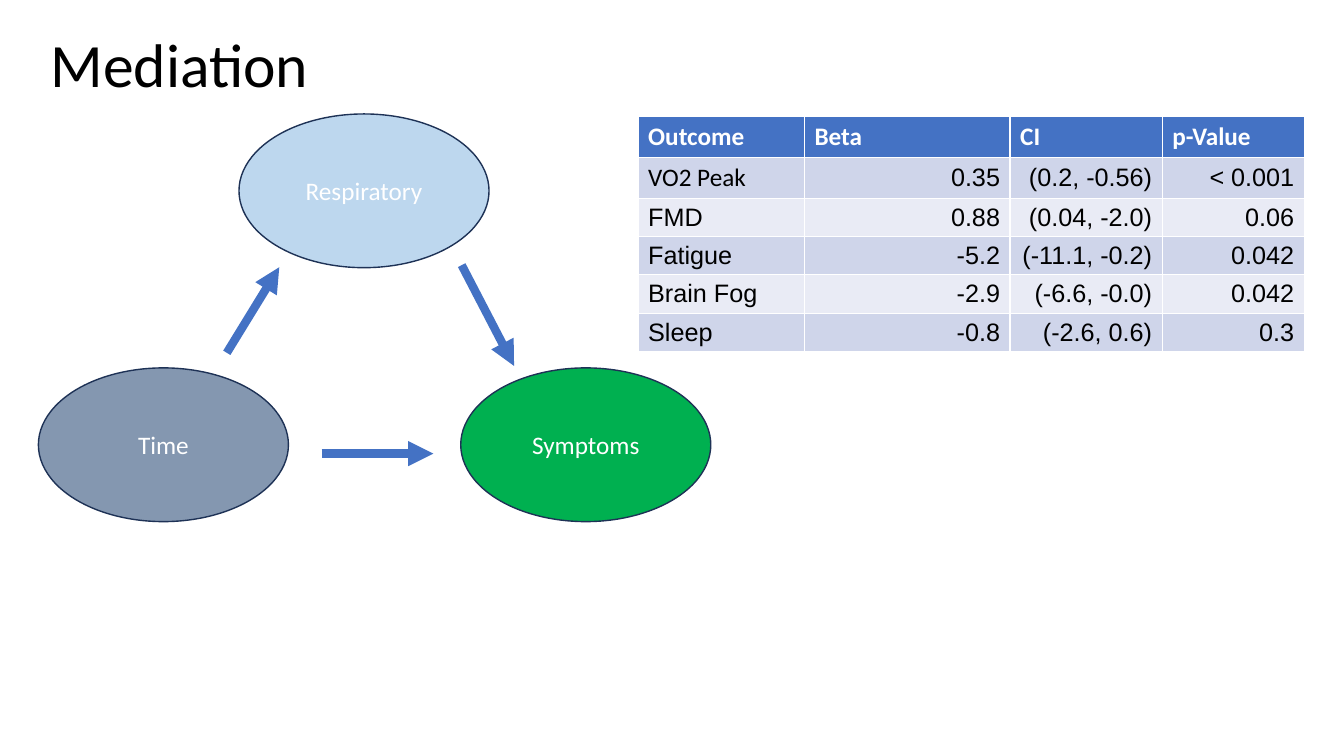
import pptx
import pptx.util
import pptx.dml.color
import pptx.enum.shapes
import pptx.enum.text
import pptx.oxml.ns
import lxml.etree

Pt = pptx.util.Pt
ALIGN = pptx.enum.text.PP_ALIGN
MIDDLE = pptx.enum.text.MSO_ANCHOR.MIDDLE
BLUE, WHITE, BLACK = "4472C4", "FFFFFF", "000000"
BANDS = ["CFD5EA", "E9EBF5"]

ROWS = [
    ["Outcome", "Beta", "CI", "p-Value"],
    ["VO2 Peak", "0.35", "(0.2, -0.56)", "< 0.001"],
    ["FMD", "0.88", "(0.04, -2.0)", "0.06"],
    ["Fatigue", "-5.2", "(-11.1, -0.2)", "0.042"],
    ["Brain Fog", "-2.9", "(-6.6, -0.0)", "0.042"],
    ["Sleep", "-0.8", "(-2.6, 0.6)", "0.3"],
]
WIDTHS = [118.8, 146.9, 108.7, 101.5]
OVALS = [
    ("Time", 0, 181.4, "8497B0"),
    ("Respiratory", 143.3, 0, "BDD7EE"),
    ("Symptoms", 301.7, 181.4, "00B050"),
]
ARROWS = [
    (134.6, 170.6, 172.1, 109.5),
    (202.3, 242.6, 282.2, 242.6),
    (302.4, 108, 339.8, 180),
]


def paint(item, shade):
    if hasattr(item, "solid"):
        item.solid()
        item = item.fore_color
    item.rgb = pptx.dml.color.RGBColor.from_string(shade)


def write(frame, words, size, shade, align, face="Calibri", bold=False):
    frame.text = words
    para = frame.paragraphs[0]
    para.alignment = align
    font = para.runs[0].font
    font.name, font.size, font.bold = face, Pt(size), bold
    paint(font.color, shade)
    return para


def add_title(slide, left, top, width, height):
    title = slide.shapes.title
    title.left, title.top = Pt(left), Pt(top)
    title.width, title.height = Pt(width), Pt(height)
    title.text_frame.vertical_anchor = MIDDLE
    para = write(title.text_frame, "Mediation", 44, BLACK, ALIGN.LEFT)
    para.line_spacing = 0.9


def add_arrow(slide, ends):
    arrow = slide.shapes.add_connector(
        pptx.enum.shapes.MSO_CONNECTOR.STRAIGHT, *[Pt(end) for end in ends])
    arrow.line.width = Pt(6)
    paint(arrow.line.fill, BLUE)
    qn = pptx.oxml.ns.qn
    line = arrow.line.fill._xPr
    lxml.etree.SubElement(line, qn("a:tailEnd"), type="triangle")
    lxml.etree.SubElement(line.getparent(), qn("a:effectLst"))


def add_model(slide, left, top):
    for words, x, y, shade in OVALS:
        oval = slide.shapes.add_shape(
            pptx.enum.shapes.MSO_SHAPE.OVAL,
            Pt(left + x), Pt(top + y), Pt(178.6), Pt(109.8))
        oval.shadow.inherit = False
        paint(oval.fill, shade)
        oval.line.width = Pt(1)
        paint(oval.line.fill, "1E3256")
        oval.text_frame.vertical_anchor = MIDDLE
        write(oval.text_frame, words, 18, WHITE, ALIGN.CENTER)
    for x1, y1, x2, y2 in ARROWS:
        add_arrow(slide, (left + x1, top + y1, left + x2, top + y2))


def add_results(slide, left, top, width, height):
    table = slide.shapes.add_table(
        len(ROWS), len(WIDTHS), Pt(left), Pt(top), Pt(width), Pt(height)).table
    for col, size in zip(table.columns, WIDTHS):
        col.width = Pt(size)
    for r, row in enumerate(ROWS):
        for c, words in enumerate(row):
            cell = table.cell(r, c)
            head = r == 0
            plain = head or (r, c) == (1, 0)
            paint(cell.fill, BLUE if head else BANDS[(r - 1) % 2])
            if not plain:
                cell.vertical_anchor = MIDDLE
            write(cell.text_frame, words, 18, WHITE if head else BLACK,
                  ALIGN.LEFT if head or c == 0 else ALIGN.RIGHT,
                  "Calibri" if plain else "Arial", head)


def main():
    deck = pptx.Presentation()
    deck.slide_width, deck.slide_height = Pt(960), Pt(540)
    slide = deck.slides.add_slide(deck.slide_layouts[5])
    add_title(slide, 28.8, -3.6, 828, 104.4)
    add_model(slide, 27.4, 81.4)
    add_results(slide, 455.8, 83.2, sum(WIDTHS), 160.2)
    deck.save("out.pptx")


if __name__ == "__main__":
    main()
